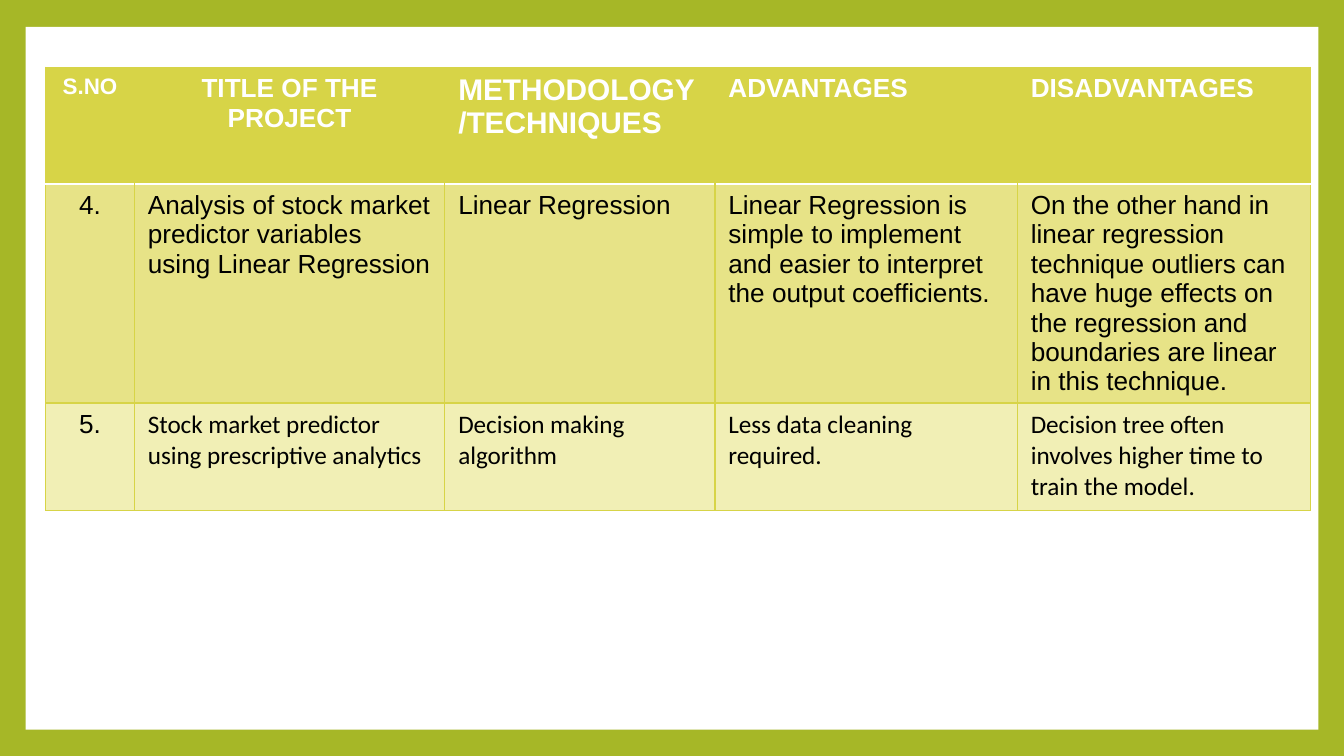
from lxml.etree import SubElement
from pptx import Presentation
from pptx.dml.color import RGBColor
from pptx.enum.shapes import MSO_SHAPE
from pptx.enum.text import PP_ALIGN
from pptx.oxml.ns import qn
from pptx.util import Inches, Pt

COLORS = {"frame": "A6B727", "paper": "FFFFFF", "accent": "D7D447",
          "mid": "E7E387", "light": "F1EFB5", "ink": "000000"}
COLUMNS = [0.66, 2.31, 2.01, 2.25, 2.18]
ROWS = [0.87, 1.63, 0.8]
ROW_FILLS = ["accent", "mid", "light"]
HEADER_SIZES = [12, 14, 16, 14, 14]
STUDIES = [
    ["S.NO", "TITLE OF THE PROJECT", "METHODOLOGY/TECHNIQUES",
     "ADVANTAGES", "DISADVANTAGES"],
    ["4.", "Analysis of stock market predictor variables using Linear Regression",
     "Linear Regression",
     "Linear Regression is simple to implement and easier to interpret "
     "the output coefficients.",
     "On the other hand in linear regression technique outliers can have huge "
     "effects on the regression and boundaries are linear in this technique."],
    ["5.", "Stock market predictor using prescriptive analytics",
     "Decision making algorithm", "Less data cleaning required.",
     "Decision tree often involves higher time to train the model."],
]


def rgb(name):
    return RGBColor.from_string(COLORS[name])


def add_border(cell, side, color, points):
    """Draw one side (L, R, T or B) of a cell; no colour hides it."""
    line = SubElement(cell._tc.get_or_add_tcPr(), qn(f"a:ln{side}"), w=str(Pt(points)))
    if color:
        fill = SubElement(line, qn("a:solidFill"))
        SubElement(fill, qn("a:srgbClr"), val=COLORS[color])
    else:
        SubElement(line, qn("a:noFill"))


def style_borders(cell, row, column):
    edge = ("accent", 0.79)
    divider = ("paper", 1.5)
    inner = edge if row else (None, 0.79)
    add_border(cell, "L", *(inner if column else edge))
    add_border(cell, "R", *(inner if column < len(COLUMNS) - 1 else edge))
    add_border(cell, "T", *(divider if row == 1 else edge))
    add_border(cell, "B", *(divider if row == 0 else edge))


def fill_cell(cell, text, row, column):
    # Borders must come before the fill in the cell properties
    style_borders(cell, row, column)
    cell.fill.solid()
    cell.fill.fore_color.rgb = rgb(ROW_FILLS[row])
    cell.text_frame.text = text
    paragraph = cell.text_frame.paragraphs[0]
    centred = column == 0 or (row == 0 and column == 1)
    paragraph.alignment = PP_ALIGN.CENTER if centred else PP_ALIGN.LEFT
    in_calibri = row == 2 and column > 0
    font = paragraph.runs[0].font
    font.name = "Calibri" if in_calibri else "Arial"
    font.size = Pt(HEADER_SIZES[column] if row == 0 else 13.5 if in_calibri else 14)
    font.bold = row == 0
    font.color.rgb = rgb("ink" if row else "paper")


def add_frame(slide, left, top, width, height):
    """Colour the background and lay the white paper over it."""
    slide.background.fill.solid()
    slide.background.fill.fore_color.rgb = rgb("frame")
    paper = slide.shapes.add_shape(MSO_SHAPE.RECTANGLE, left, top, width, height)
    paper.shadow.inherit = False
    paper.fill.solid()
    paper.fill.fore_color.rgb = rgb("paper")
    paper.line.fill.background()


def add_studies(slide, left, top, width, height):
    table = slide.shapes.add_table(len(ROWS), len(COLUMNS), left, top, width, height).table
    for column, share in zip(table.columns, COLUMNS):
        column.width = int(width * share / sum(COLUMNS))
    for row, share in zip(table.rows, ROWS):
        row.height = int(height * share / sum(ROWS))
    for r, study in enumerate(STUDIES):
        for c, text in enumerate(study):
            fill_cell(table.cell(r, c), text, r, c)


def main():
    deck = Presentation()
    deck.slide_width = Inches(10)
    deck.slide_height = deck.slide_width * 9 // 16
    slide = deck.slides.add_slide(deck.slide_layouts[6])
    add_frame(slide, Inches(0.19), Inches(0.2), Inches(9.62), Inches(5.23))
    add_studies(slide, Inches(0.34), Inches(0.5), Inches(sum(COLUMNS)), Inches(sum(ROWS)))
    deck.save("out.pptx")


if __name__ == "__main__":
    main()
